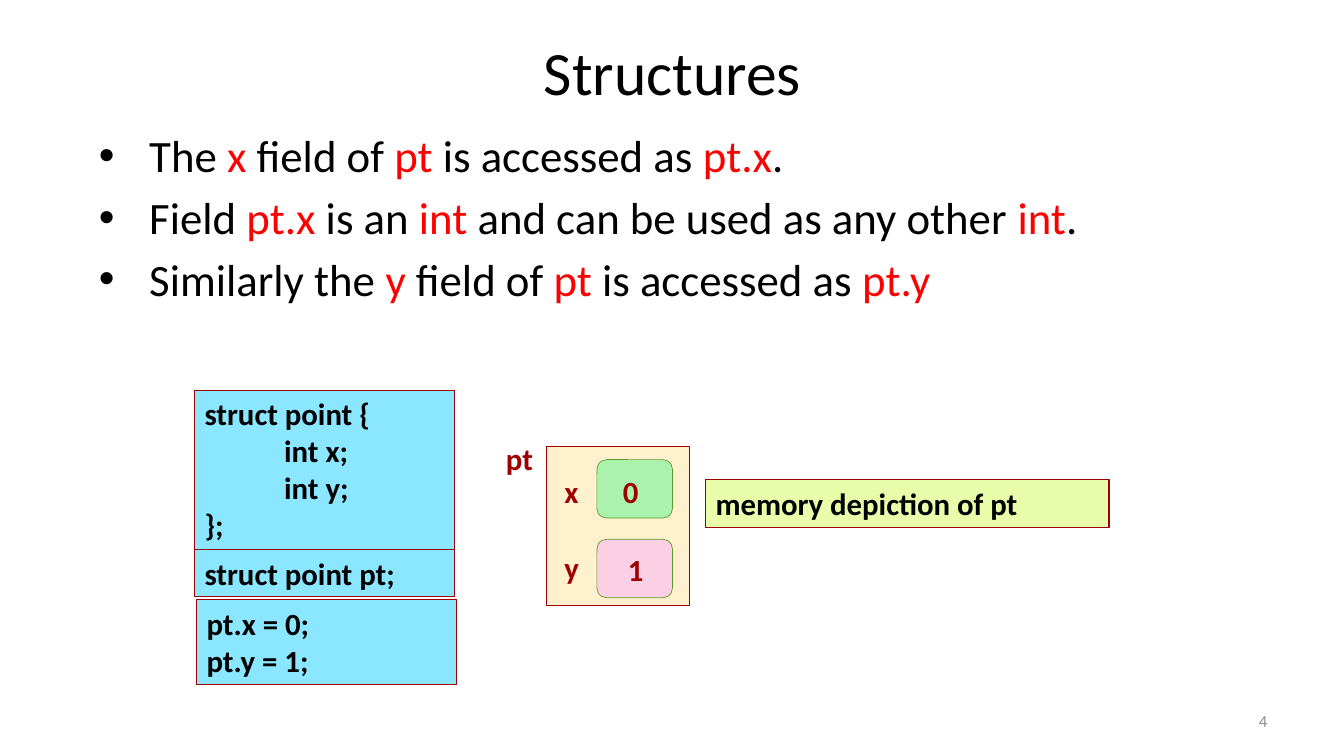
"""Build the slide on the fields of a C structure."""
from dataclasses import dataclass
from typing import Any, Optional

from lxml.etree import SubElement
from pptx import Presentation
from pptx.dml.color import RGBColor
from pptx.enum.shapes import MSO_SHAPE
from pptx.enum.text import MSO_ANCHOR, MSO_AUTO_SIZE, PP_ALIGN
from pptx.oxml.ns import qn
from pptx.util import Emu, Pt


@dataclass(frozen=True)
class Theme:
    font: str = "Calibri"
    ink: str = "000000"
    key: str = "FF0000"
    edge: str = "9D0000"
    rim: str = "5D9A2B"
    code: str = "8BE6FF"
    note: str = "E8FCAA"
    frame: str = "FFF1CE"
    zero: str = "ABF3AD"
    one: str = "FBD0E4"
    faint: str = "8C8C8C"
    title: int = 44
    list: int = 32
    label: int = 22
    small: int = 12


@dataclass(frozen=True)
class Place:
    left: int
    top: int
    width: int
    height: int


@dataclass(frozen=True)
class Box:
    place: Place
    fill: str
    lines: tuple[str, ...] = ()
    edge: str = Theme.edge
    weight: float = 0.75
    form: MSO_SHAPE = MSO_SHAPE.RECTANGLE


@dataclass(frozen=True)
class Label:
    text: str
    place: Place


THEME = Theme()
SCALE = 9144
TAB = 79
HANG = 50

BULLETS = (
    "The |x| field of |pt |is accessed as |pt.x|.",
    "Field |pt.x| is an |int| and can be used as any other |int|.",
    "Similarly the |y| field of |pt |is accessed as |pt.y|",
)
BOXES = (
    Box(Place(195, 595, 258, 84), THEME.code, ("pt.x = 0;", "pt.y = 1;")),
    Box(Place(193, 387, 258, 158), THEME.code,
        ("struct point {", "\tint x;", "\tint y;", "};")),
    Box(Place(193, 545, 258, 47), THEME.code, ("struct point pt;",)),
    Box(Place(700, 476, 400, 47), THEME.note, ("memory depiction of pt",)),
)
CELLS = (
    Box(Place(542, 443, 142, 158), THEME.frame),
    Box(Place(592, 456, 75, 58), THEME.zero, edge=THEME.rim, weight=0.5,
        form=MSO_SHAPE.ROUNDED_RECTANGLE),
    Box(Place(592, 535, 75, 58), THEME.one, edge=THEME.rim, weight=0.5,
        form=MSO_SHAPE.ROUNDED_RECTANGLE),
)
LABELS = (
    Label("x", Place(550, 464, 34, 47)),
    Label("y", Place(550, 539, 34, 47)),
    Label("pt", Place(492, 431, 47, 47)),
    Label("1", Place(613, 541, 35, 47)),
    Label("0", Place(608, 464, 35, 47)),
)


def px(count: int) -> Emu:
    """Turn px into EMU."""
    return Emu(count * SCALE)


def spot(place: Place) -> tuple[Emu, Emu, Emu, Emu]:
    """Give the place of a shape in EMU."""
    return px(place.left), px(place.top), px(place.width), px(place.height)


def move(shape: Any, place: Place) -> None:
    """Put a shape at its place."""
    shape.left, shape.top, shape.width, shape.height = spot(place)


def write(shape: Any, *lines: str, size: int, color: str = THEME.ink,
          bold: bool = False, align: PP_ALIGN = PP_ALIGN.LEFT,
          anchor: MSO_ANCHOR = MSO_ANCHOR.TOP, wrap: bool = True,
          hang: Optional[int] = None, gap: float = 0) -> None:
    """Fill a shape with lines, where bars switch the key colour on and off."""
    frame = shape.text_frame
    frame.word_wrap = wrap
    frame.auto_size = MSO_AUTO_SIZE.NONE
    frame.vertical_anchor = anchor
    for row, line in enumerate(lines):
        para = frame.add_paragraph() if row else frame.paragraphs[0]
        props = para._p.get_or_add_pPr()
        if hang is not None:
            props.set("marL", str(px(hang)))
            props.set("indent", str(-px(hang)))
        if "\t" in line:
            tabs = SubElement(props, qn("a:tabLst"))
            SubElement(tabs, qn("a:tab"), pos=str(px(TAB)), algn="l")
        para.alignment = align
        para.space_before = Pt(gap if row else 0)
        for turn, part in enumerate(line.split("|")):
            if part:
                run = para.add_run()
                run.text = part
                font = run.font
                font.name, font.size, font.bold = THEME.font, Pt(size), bold
                tint = THEME.key if turn % 2 else color
                font.color.rgb = RGBColor.from_string(tint)


def draw(shapes: Any, box: Box) -> None:
    """Draw a filled box with its lines of text."""
    shape = shapes.add_shape(box.form, *spot(box.place))
    shape.shadow.inherit = False
    shape.fill.solid()
    shape.fill.fore_color.rgb = RGBColor.from_string(box.fill)
    shape.line.color.rgb = RGBColor.from_string(box.edge)
    shape.line.width = Pt(box.weight)
    if box.lines:
        write(shape, *box.lines, size=THEME.label, bold=True)


def main() -> None:
    """Build and save the slide."""
    deck = Presentation()
    deck.slide_width, deck.slide_height = px(1333), px(750)
    slide = deck.slides.add_slide(deck.slide_layouts[1])
    shapes = slide.shapes

    title, body = shapes.title, slide.placeholders[1]
    move(title, Place(217, 8, 900, 125))
    write(title, "Structures", size=THEME.title, align=PP_ALIGN.CENTER,
          anchor=MSO_ANCHOR.MIDDLE)
    move(body, Place(88, 122, 1041, 567))
    write(body, *BULLETS, size=THEME.list, hang=HANG, gap=5.6)

    count = shapes.add_textbox(*spot(Place(956, 695, 311, 40)))
    write(count, "4", size=THEME.small, color=THEME.faint,
          align=PP_ALIGN.RIGHT, anchor=MSO_ANCHOR.MIDDLE)

    for box in BOXES:
        draw(shapes, box)
    group = shapes.add_group_shape().shapes
    for cell in CELLS:
        draw(group, cell)
    for label in LABELS:
        field = group.add_textbox(*spot(label.place))
        write(field, label.text, size=THEME.label, color=THEME.edge,
              bold=True, wrap=False)

    deck.save("out.pptx")


if __name__ == "__main__":
    main()
